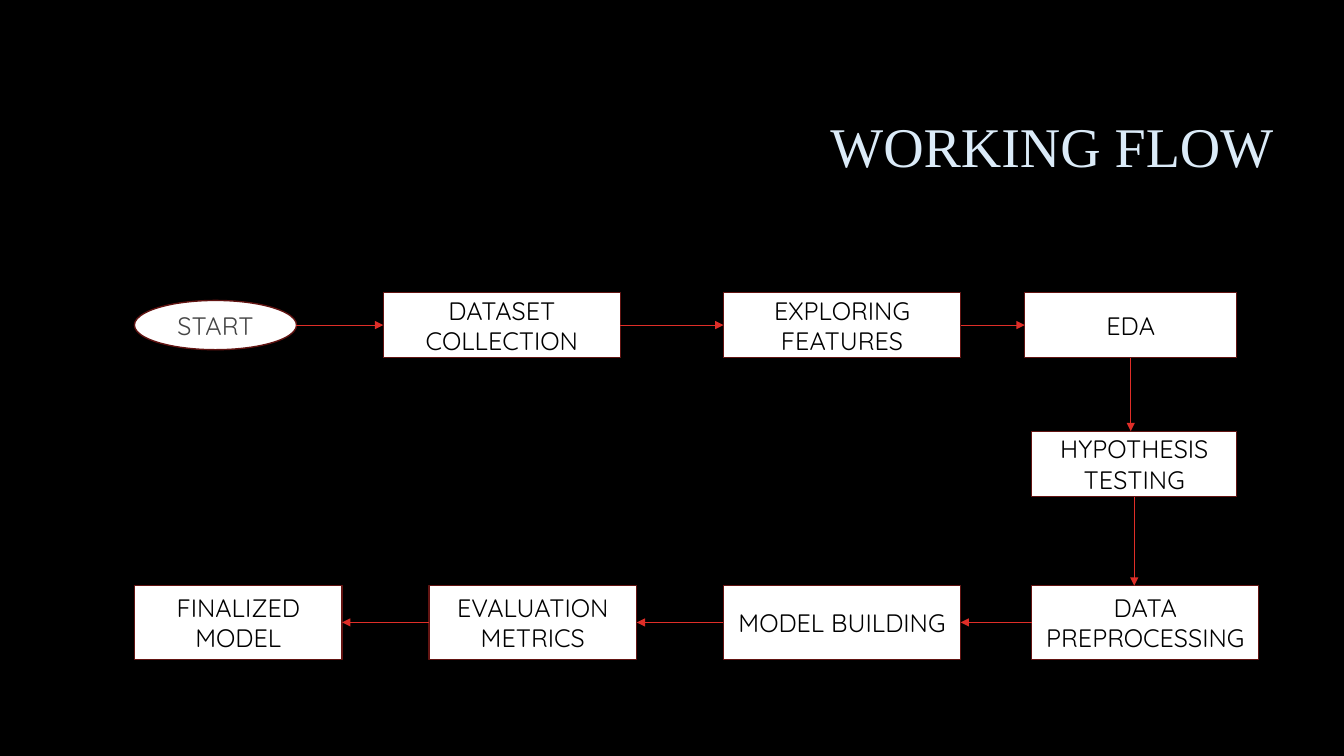
from dataclasses import dataclass

from lxml.etree import SubElement
from pptx import Presentation
from pptx.dml.color import RGBColor
from pptx.enum.shapes import MSO_CONNECTOR, MSO_SHAPE
from pptx.enum.text import MSO_ANCHOR, PP_ALIGN
from pptx.oxml.ns import qn
from pptx.util import Pt


@dataclass(frozen=True)
class Theme:
    background: str = "000000"
    title: str = "DBEBF8"
    box: str = "FFFFFF"
    outline: str = "621412"
    arrow: str = "DF2E28"
    text: str = "000000"
    start_text: str = "454545"
    title_font: str = "Times New Roman"
    body_font: str = "Quicksand"
    title_size: float = 40
    body_size: float = 18
    outline_width: float = 1
    arrow_width: float = 0.75


THEME = Theme()
TOP, LEFT, BOTTOM, RIGHT = range(4)

TOP_ROW = (208.8, 46.8)
MIDDLE_ROW = (308, 46.8)
BOTTOM_ROW = (418.3, 52.6)

# name: (row top and height, left, width)
STEPS = {
    "DATASET COLLECTION": (TOP_ROW, 273.8, 169.4),
    "EXPLORING FEATURES": (TOP_ROW, 516.8, 169.4),
    "EDA": (TOP_ROW, 732, 151.4),
    "HYPOTHESIS TESTING": (MIDDLE_ROW, 737, 146.4),
    "DATA PREPROCESSING": (BOTTOM_ROW, 737, 162.2),
    "MODEL BUILDING": (BOTTOM_ROW, 516.8, 169.4),
    "EVALUATION METRICS": (BOTTOM_ROW, 306.4, 148.4),
    "FINALIZED MODEL": (BOTTOM_ROW, 96, 148.4),
}
# Sides by which the flow leaves one step and enters the next
ROUTE = [(RIGHT, LEFT)] * 3 + [(BOTTOM, TOP)] * 2 + [(LEFT, RIGHT)] * 3


def write(shape, text, align, **font_format):
    frame = shape.text_frame
    frame.word_wrap = True
    frame.vertical_anchor = MSO_ANCHOR.MIDDLE
    para = frame.paragraphs[0]
    para.alignment = align
    span = para.add_run()
    span.text = text
    span.font.color.rgb = RGBColor.from_string(font_format.pop("color"))
    for name, value in font_format.items():
        setattr(span.font, name, value)
    return para


def add_title(slide, text):
    box = slide.shapes.add_textbox(Pt(556.6), Pt(80.6), Pt(360), Pt(52.6))
    para = write(box, text, PP_ALIGN.RIGHT, color=THEME.title,
                 name=THEME.title_font, size=Pt(THEME.title_size))
    para.line_spacing = 0.9


def add_step(slide, kind, text, place, color):
    step = slide.shapes.add_shape(kind, *map(Pt, place))
    step.shadow.inherit = False
    step.fill.solid()
    step.fill.fore_color.rgb = RGBColor.from_string(THEME.box)
    step.line.color.rgb = RGBColor.from_string(THEME.outline)
    step.line.width = Pt(THEME.outline_width)
    write(step, text, PP_ALIGN.CENTER, color=color,
          name=THEME.body_font, size=Pt(THEME.body_size))
    return step


def side_middle(step, side):
    across = {LEFT: 0, RIGHT: step.width}.get(side, step.width // 2)
    down = {TOP: 0, BOTTOM: step.height}.get(side, step.height // 2)
    return step.left + across, step.top + down


def add_arrow(slide, source, source_side, target, target_side):
    """Draw a straight arrow, joined wherever it meets the middle of a rectangle's side."""
    begin, middle = side_middle(source, source_side), side_middle(target, target_side)
    if source_side in (LEFT, RIGHT):
        end = middle[0], begin[1]
    else:
        end = begin[0], middle[1]
    arrow = slide.shapes.add_connector(MSO_CONNECTOR.STRAIGHT, *begin, *end)
    if source.auto_shape_type == MSO_SHAPE.RECTANGLE:
        arrow.begin_connect(source, source_side)
    if max(abs(end[0] - middle[0]), abs(end[1] - middle[1])) < Pt(0.1):
        arrow.end_connect(target, target_side)
    arrow.line.color.rgb = RGBColor.from_string(THEME.arrow)
    arrow.line.width = Pt(THEME.arrow_width)
    properties = arrow.element.spPr
    SubElement(properties.find(qn("a:ln")), qn("a:tailEnd"), type="triangle")
    SubElement(properties, qn("a:effectLst"))


def main():
    deck = Presentation()
    deck.slide_width, deck.slide_height = Pt(960), Pt(540)
    slide = deck.slides.add_slide(deck.slide_layouts[6])
    slide.background.fill.solid()
    slide.background.fill.fore_color.rgb = RGBColor.from_string(THEME.background)

    add_title(slide, "WORKING FLOW")
    flow = [add_step(slide, MSO_SHAPE.OVAL, "START", (96, 214.6, 115.8, 35.2),
                     THEME.start_text)]
    for text, ((top, height), left, width) in STEPS.items():
        flow.append(add_step(slide, MSO_SHAPE.RECTANGLE, text,
                             (left, top, width, height), THEME.text))
    for source, target, (leaving, entering) in zip(flow, flow[1:], ROUTE):
        add_arrow(slide, source, leaving, target, entering)

    deck.save("out.pptx")


if __name__ == "__main__":
    main()
